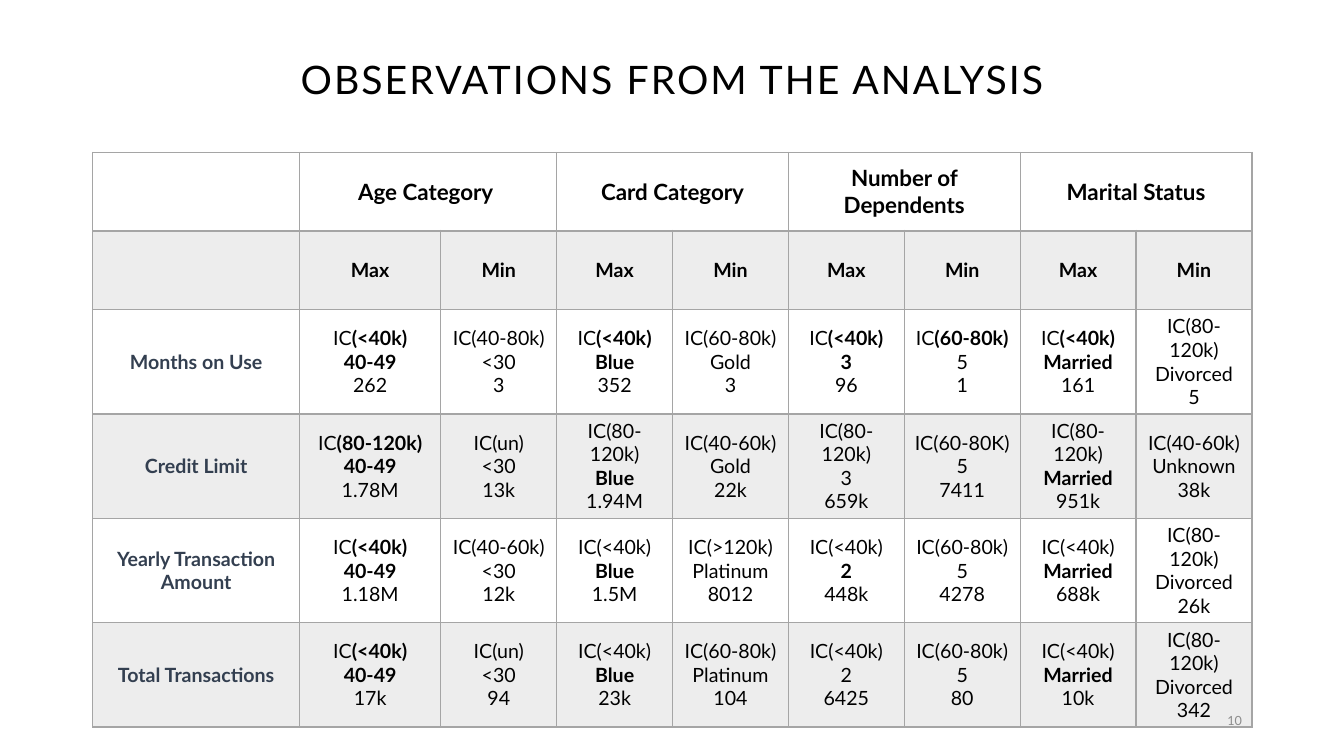
from pptx import Presentation
from pptx.dml.color import RGBColor
from pptx.enum.text import MSO_ANCHOR, PP_ALIGN
from pptx.oxml import parse_xml
from pptx.oxml.ns import nsdecls
from pptx.util import Cm, Pt

BLACK = RGBColor(0x00, 0x00, 0x00)
NAVY = RGBColor(0x33, 0x3F, 0x50)
GRAY = RGBColor(0xA5, 0xA5, 0xA5)
PAGE_GRAY = RGBColor(0x8C, 0x8C, 0x8C)

CATEGORIES = ["Age Category ", "Card Category", "Number of Dependents", "Marital Status"]

# "|" separates lines; what follows "*" in a line is bold
MEASURES = {
    "Months on Use": [
        "IC*(<40k)|*40-49|262", "IC(40-80k)|<30|3",
        "IC*(<40k)|*Blue|352", "IC(60-80k)|Gold|3",
        "IC*(<40k)|*3|96", "IC*(60-80k)|5|1",
        "IC*(<40k)|*Married|161", "IC(80-120k)|Divorced|5"],
    "Credit Limit": [
        "IC*(80-120k)|*40-49|1.78M", "IC(un)|<30|13k",
        "IC(80-120k)|*Blue|1.94M", "IC(40-60k)|Gold|22k",
        "IC(80-120k)|3|659k", "IC(60-80K)|5|7411",
        "IC(80-120k)|*Married|951k", "IC(40-60k)|Unknown|38k"],
    "Yearly Transaction Amount": [
        "IC*(<40k)|*40-49|1.18M", "IC(40-60k)|<30|12k",
        "IC(<40k)|*Blue|1.5M", "IC(>120k)|Platinum|8012",
        "IC(<40k)|*2|448k", "IC(60-80k)|5|4278",
        "IC(<40k)|*Married|688k", "IC(80-120k)|Divorced|26k"],
    "Total Transactions": [
        "IC*(<40k)|*40-49|17k", "IC(un)|<30|94",
        "IC(<40k)|*Blue|23k", "IC(60-80k)|Platinum|104",
        "IC(<40k)|2|6425", "IC(60-80k)|5|80",
        "IC(<40k)|*Married|10k", "IC(80-120k)|Divorced|342"],
}

COLUMN_WIDTHS = [5.21, 3.56] + [2.92] * 7
ROW_HEIGHTS = [1.98] * 2 + [2.63] * 4


class SlideBuilder:
    font = "Lato"

    def __init__(self, slide):
        self.slide = slide

    def fill_text(self, frame, text, size, color=BLACK, align=PP_ALIGN.CENTER, spacing=0):
        """Fill a text frame, one paragraph per line, with * starting bold."""
        for number, line in enumerate(text.split("|")):
            paragraph = frame.add_paragraph() if number else frame.paragraphs[0]
            paragraph.alignment = align
            paragraph.font.name = self.font
            paragraph.font.size = Pt(size)
            paragraph.font.color.rgb = color
            plain, _, strong = line.partition("*")
            mixed = plain and strong
            if not mixed:
                paragraph.font.bold = bool(strong)
            for words, bold in ((plain, False), (strong, True)):
                if words:
                    run = paragraph.add_run()
                    run.text = words
                    if mixed:
                        run.font.bold = bold
                    if spacing:
                        run._r.get_or_add_rPr().set("spc", str(spacing))

    def text(self, text, left, top, width, height, size, **style):
        box = self.slide.shapes.add_textbox(Cm(left), Cm(top), Cm(width), Cm(height))
        frame = box.text_frame
        frame.word_wrap = True
        frame.vertical_anchor = MSO_ANCHOR.MIDDLE
        self.fill_text(frame, text, size, **style)

    def table(self, left, top, widths, heights):
        grid = self.slide.shapes.add_table(
            len(heights), len(widths), Cm(left), Cm(top),
            Cm(sum(widths)), Cm(sum(heights))).table
        grid.first_row = grid.horz_banding = False
        for column, width in zip(grid.columns, widths):
            column.width = Cm(width)
        for row, height in zip(grid.rows, heights):
            row.height = Cm(height)
        for r in range(len(heights)):
            for c in range(len(widths)):
                self.style_cell(grid.cell(r, c), r)
        return grid

    def style_cell(self, cell, row):
        cell.vertical_anchor = MSO_ANCHOR.MIDDLE
        properties = cell._tc.get_or_add_tcPr()
        # A heavier rule runs below the category row
        heavy_side = {0: "B", 1: "T"}.get(row)
        for side in "LRTB":
            points = 2 if side == heavy_side else 1
            properties.append(parse_xml(
                f'<a:ln{side} {nsdecls("a")} w="{Pt(points)}"><a:solidFill>'
                f'<a:srgbClr val="{GRAY}"/></a:solidFill></a:ln{side}>'))
        # Every second row is tinted
        if row % 2:
            cell.fill.solid()
            cell.fill.fore_color.rgb = GRAY
            tint = properties.xpath("./a:solidFill/a:srgbClr")[0]
            tint.append(parse_xml(f'<a:alpha {nsdecls("a")} val="20000"/>'))
        else:
            cell.fill.background()


def main():
    presentation = Presentation()
    presentation.slide_width, presentation.slide_height = Cm(33.87), Cm(19.05)
    builder = SlideBuilder(presentation.slides.add_slide(presentation.slide_layouts[6]))

    # Title
    builder.text("OBSERVATIONS FROM THE ANALYSIS", 2.34, 0.15, 29.21, 3.68, 28, spacing=150)

    # Table headings
    observations = builder.table(2.34, 3.84, COLUMN_WIDTHS, ROW_HEIGHTS)
    for index, category in enumerate(CATEGORIES):
        first = 1 + 2 * index
        heading = observations.cell(0, first)
        heading.merge(observations.cell(0, first + 1))
        builder.fill_text(heading.text_frame, "*" + category, 16)
        for offset, extreme in enumerate(("Max", "Min")):
            builder.fill_text(observations.cell(1, first + offset).text_frame, "*" + extreme, 14)

    # Table body
    for r, (measure, findings) in enumerate(MEASURES.items(), start=2):
        builder.fill_text(observations.cell(r, 0).text_frame, "*" + measure, 14, color=NAVY)
        for c, finding in enumerate(findings, start=1):
            builder.fill_text(observations.cell(r, c).text_frame, finding, 14)

    # Page number
    builder.text("10", 23.93, 17.65, 7.62, 1.02, 9, color=PAGE_GRAY, align=PP_ALIGN.RIGHT)

    presentation.save("out.pptx")


if __name__ == "__main__":
    main()
